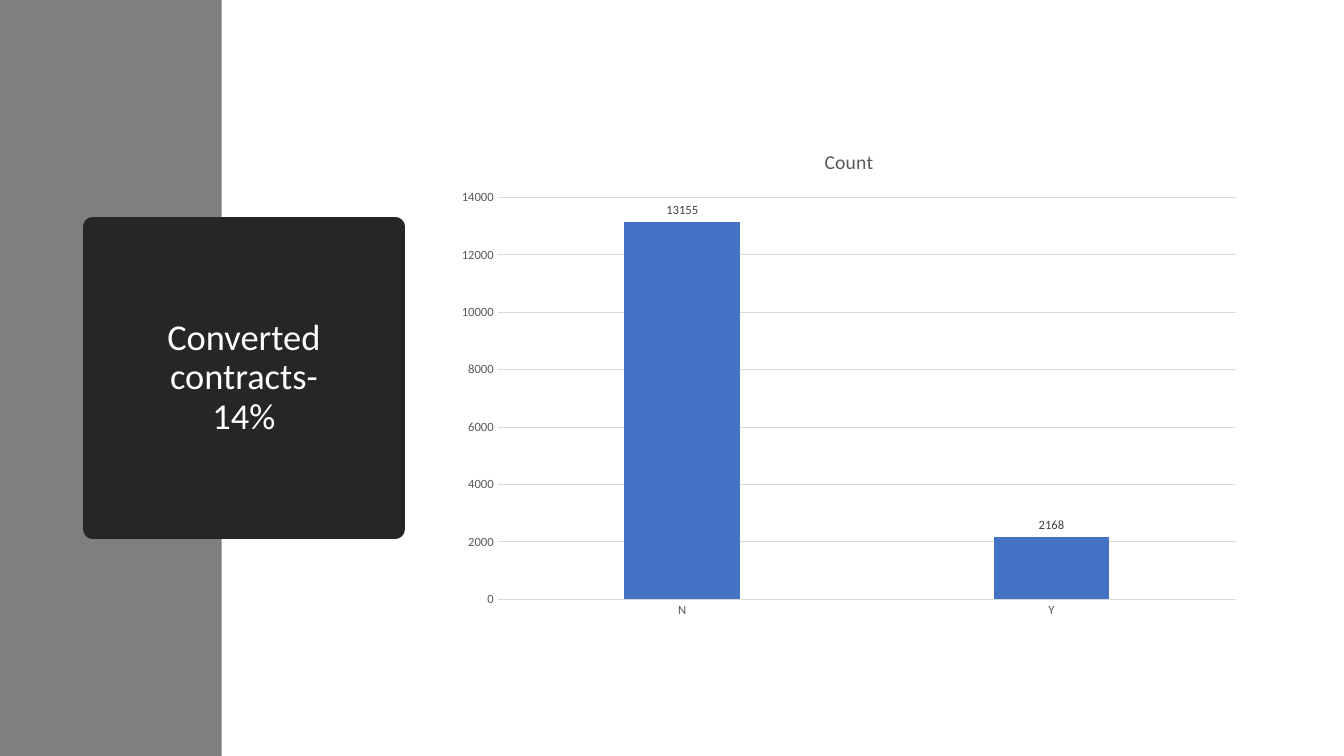
from lxml import etree
from pptx import Presentation
from pptx import util as u
from pptx.chart.data import CategoryChartData
from pptx.dml.color import RGBColor
from pptx.enum import chart as ch, shapes, text
from pptx.oxml.ns import qn

HEADLINE = "Converted contracts-\v14%"
CHART_TITLE = "Count"
CONTRACTS = {"N": 13155, "Y": 2168}

FONT = "Calibri"
WHITE = RGBColor(0xFF, 0xFF, 0xFF)
BLACK = RGBColor(0, 0, 0)
BAND_GREY = RGBColor(0x7F, 0x7F, 0x7F)
CARD_DARK = RGBColor(0x26, 0x26, 0x26)
BAR_BLUE = RGBColor(0x44, 0x72, 0xC4)
GRID_GREY = RGBColor(0xD9, 0xD9, 0xD9)
AXIS_GREY = RGBColor(0x59, 0x59, 0x59)
LABEL_GREY = RGBColor(0x40, 0x40, 0x40)

WIDTH, HEIGHT = u.Inches(13.33), u.Inches(7.5)
BAND_WIDTH = u.Inches(2.2)
CARD_LEFT, CARD_SIDE = u.Inches(0.92), u.Inches(3)
CHART_BOX = [u.Inches(n) for n in (4.42, 1.28, 8, 4.95)]


def style_font(font, size, color):
    font.name, font.size, font.bold = FONT, u.Pt(size), False
    font.color.rgb = color


def write(frame, words, size, color, align=None, spacing=None):
    frame.text = words
    paragraph = frame.paragraphs[0]
    paragraph.alignment, paragraph.line_spacing = align, spacing
    for run in paragraph.runs:
        style_font(run.font, size, color)


def add_block(slide, left, top, width, height, color):
    block = slide.shapes.add_shape(
        shapes.MSO_SHAPE.RECTANGLE, left, top, width, height)
    block.shadow.inherit = False
    block.fill.solid()
    block.fill.fore_color.rgb = color
    block.line.fill.background()
    return block


def add_card(slide):
    """Dark square whose thick outline rounds its corners."""
    card = add_block(slide, CARD_LEFT, (HEIGHT - CARD_SIDE) // 2,
                     CARD_SIDE, CARD_SIDE, CARD_DARK)
    card.line.color.rgb = CARD_DARK
    card.line.width = u.Pt(13.75)
    etree.SubElement(card.line.fill._xPr, qn("a:round"))
    frame = card.text_frame
    frame.word_wrap = True
    frame.vertical_anchor = text.MSO_ANCHOR.MIDDLE
    write(frame, HEADLINE, 26, WHITE, align=text.PP_ALIGN.CENTER, spacing=0.9)


def add_count_chart(slide):
    counts = CategoryChartData()
    counts.categories = list(CONTRACTS)
    counts.add_series(CHART_TITLE, list(CONTRACTS.values()))
    chart = slide.shapes.add_chart(
        ch.XL_CHART_TYPE.COLUMN_CLUSTERED, *CHART_BOX, counts).chart
    style_font(chart.font, 10, BLACK)
    chart.has_legend = False
    chart.has_title = True
    write(chart.chart_title.text_frame, CHART_TITLE, 14, AXIS_GREY)
    chart.chart_title.include_in_layout = False

    for axis in (chart.category_axis, chart.value_axis):
        axis.major_tick_mark = axis.minor_tick_mark = ch.XL_TICK_MARK.NONE
        style_font(axis.tick_labels.font, 9, AXIS_GREY)
    chart.value_axis.format.line.fill.background()
    chart.value_axis.has_major_gridlines = True
    for line in (chart.category_axis.format.line,
                 chart.value_axis.major_gridlines.format.line):
        line.color.rgb = GRID_GREY
        line.width = u.Pt(0.75)

    plot = chart.plots[0]
    plot.gap_width, plot.overlap, plot.vary_by_categories = 219, -27, False
    bars = plot.series[0]
    bars.format.fill.solid()
    bars.format.fill.fore_color.rgb = BAR_BLUE
    labels = bars.data_labels
    labels.show_value = True
    labels.position = ch.XL_LABEL_POSITION.OUTSIDE_END
    style_font(labels.font, 9, LABEL_GREY)


def main():
    deck = Presentation()
    deck.slide_width, deck.slide_height = WIDTH, HEIGHT
    slide = deck.slides.add_slide(deck.slide_layouts[6])
    add_block(slide, 0, 0, BAND_WIDTH, HEIGHT, BAND_GREY)
    add_card(slide)
    add_count_chart(slide)
    deck.save("out.pptx")


if __name__ == "__main__":
    main()
